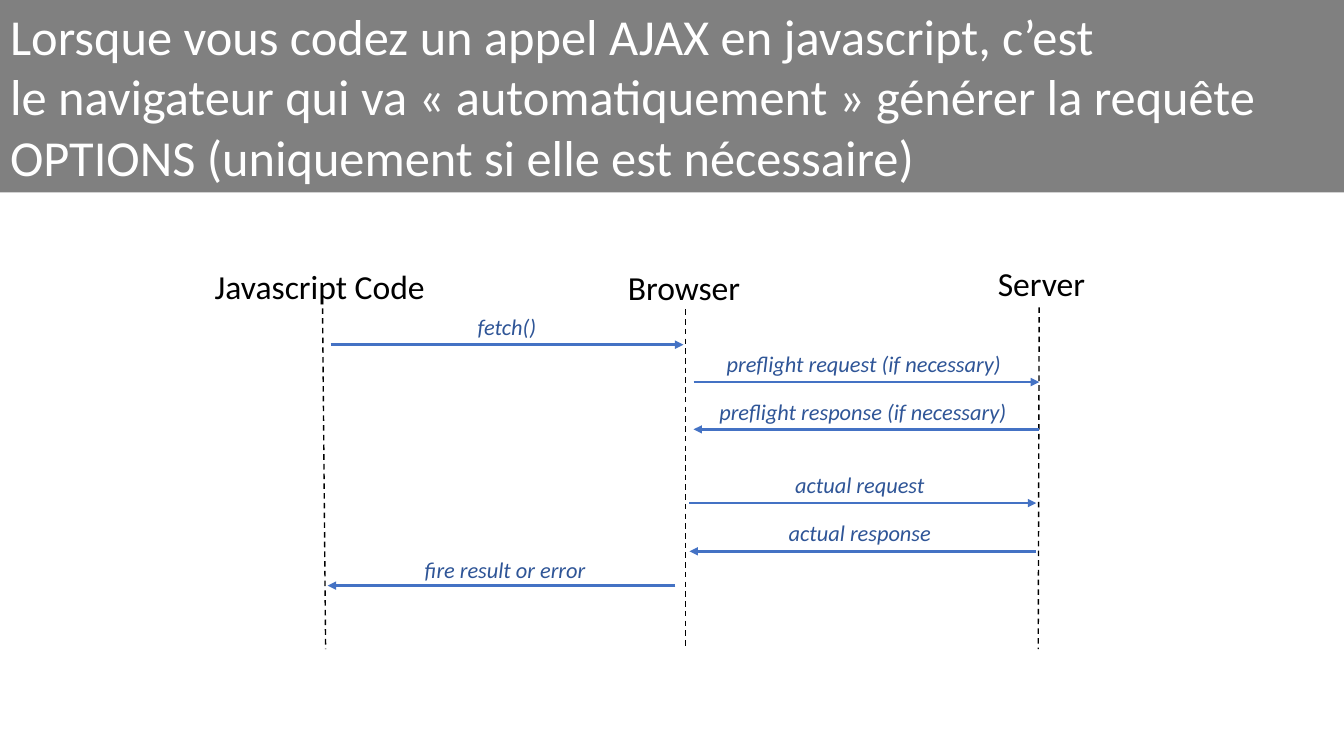
from dataclasses import dataclass

from pptx import Presentation
from pptx.dml.color import RGBColor
from pptx.enum.dml import MSO_LINE
from pptx.enum.shapes import MSO_CONNECTOR
from pptx.enum.text import MSO_ANCHOR, MSO_AUTO_SIZE, PP_ALIGN
from pptx.oxml.ns import qn
from pptx.shapes.connector import Connector
from pptx.slide import Slide
from pptx.text.text import TextFrame
from pptx.util import Pt
from lxml.etree import SubElement


@dataclass(frozen=True)
class Theme:
    font: str = "Calibri"
    banner: RGBColor = RGBColor(0x80, 0x80, 0x80)
    white: RGBColor = RGBColor(0xFF, 0xFF, 0xFF)
    black: RGBColor = RGBColor(0, 0, 0)
    arrow: RGBColor = RGBColor(0x44, 0x72, 0xC4)
    label: RGBColor = RGBColor(0x2F, 0x55, 0x97)
    title_size: int = 36
    name_size: int = 24
    label_size: int = 16


@dataclass(frozen=True)
class Participant:
    name: str
    left: float
    top: float
    width: float
    line_top: float
    x_top: float
    x_bottom: float


@dataclass(frozen=True)
class Message:
    text: str
    start: float
    end: float
    y: float
    label_left: float
    lift: float = 26.6


THEME = Theme()
SLIDE_W, SLIDE_H = 960, 540
LIFELINE_END = 463.7
NAME_H, LABEL_W, LABEL_H = 36, 256.3, 26.6

TITLE = [
    "Lorsque vous codez un appel AJAX en javascript, c’est",
    "le navigateur qui va « automatiquement » générer la requête "
    "OPTIONS (uniquement si elle est nécessaire)",
]
PARTICIPANTS = [
    Participant("Javascript Code", 146.2, 186.5, 166.3, 220.3, 230.4, 232.6),
    Participant("Browser", 441.4, 187.2, 95.8, 221, 489.6, 489.6),
    Participant("Server", 705.6, 184.3, 77.8, 219.6, 742.3, 741.6),
]
MESSAGES = [
    Message("fetch()", 236.2, 488.2, 246.2, 234, 25.9),
    Message("preflight request (if necessary)", 495.4, 742.3, 272.9, 488.9),
    Message("preflight response (if necessary)", 742.3, 495.4, 306.7, 488.2, 25.9),
    Message("actual request", 492.5, 740.2, 359.3, 486),
    Message("actual response", 740.2, 492.5, 393.8, 486),
    Message("fire result or error", 482.4, 234, 418.3, 232.6, 24.5),
]


def write(tf: TextFrame, lines: list[str], align: PP_ALIGN, wrap: bool,
          size: int, color: RGBColor, italic: bool = False) -> None:
    frame_format = {"word_wrap": wrap, "auto_size": MSO_AUTO_SIZE.SHAPE_TO_FIT_TEXT}
    for key, value in frame_format.items():
        setattr(tf, key, value)
    for i, line in enumerate(lines):
        p = tf.paragraphs[0] if i == 0 else tf.add_paragraph()
        p.alignment = align
        r = p.add_run()
        r.text = line
        font_format = {"name": THEME.font, "size": Pt(size), "italic": italic}
        for key, value in font_format.items():
            setattr(r.font, key, value)
        r.font.color.rgb = color


def add_line(slide: Slide, x1: float, y1: float, x2: float, y2: float,
             color: RGBColor, width: float) -> Connector:
    sp = slide.shapes.add_connector(
        MSO_CONNECTOR.STRAIGHT, Pt(x1), Pt(y1), Pt(x2), Pt(y2))
    sp.line.color.rgb = color
    sp.line.width = Pt(width)
    SubElement(sp._element.spPr, qn("a:effectLst"))
    return sp


def add_title(slide: Slide) -> None:
    sp = slide.shapes.title
    box = {"left": 0, "top": Pt(-0.7), "width": Pt(SLIDE_W), "height": Pt(138.2)}
    for key, value in box.items():
        setattr(sp, key, value)
    sp.fill.solid()
    sp.fill.fore_color.rgb = THEME.banner
    sp.text_frame.vertical_anchor = MSO_ANCHOR.MIDDLE
    write(sp.text_frame, TITLE, PP_ALIGN.LEFT, True, THEME.title_size, THEME.white)


def add_participant(slide: Slide, item: Participant) -> None:
    sp = add_line(slide, item.x_top, item.line_top, item.x_bottom, LIFELINE_END,
                  THEME.black, 1)
    sp.line.dash_style = MSO_LINE.DASH
    box = slide.shapes.add_textbox(
        Pt(item.left), Pt(item.top), Pt(item.width), Pt(NAME_H))
    write(box.text_frame, [item.name], PP_ALIGN.LEFT, False,
          THEME.name_size, THEME.black)


def add_message(slide: Slide, item: Message) -> None:
    sp = add_line(slide, item.start, item.y, item.end, item.y, THEME.arrow, 2)
    SubElement(sp.line._get_or_add_ln(), qn("a:tailEnd"), type="triangle")
    box = slide.shapes.add_textbox(
        Pt(item.label_left), Pt(item.y - item.lift), Pt(LABEL_W), Pt(LABEL_H))
    write(box.text_frame, [item.text], PP_ALIGN.CENTER, True,
          THEME.label_size, THEME.label, True)


def main() -> None:
    prs = Presentation()
    prs.slide_width, prs.slide_height = Pt(SLIDE_W), Pt(SLIDE_H)
    slide = prs.slides.add_slide(prs.slide_layouts.get_by_name("Title Only"))
    add_title(slide)
    for participant in PARTICIPANTS:
        add_participant(slide, participant)
    for message in MESSAGES:
        add_message(slide, message)
    prs.save("out.pptx")


if __name__ == "__main__":
    main()
